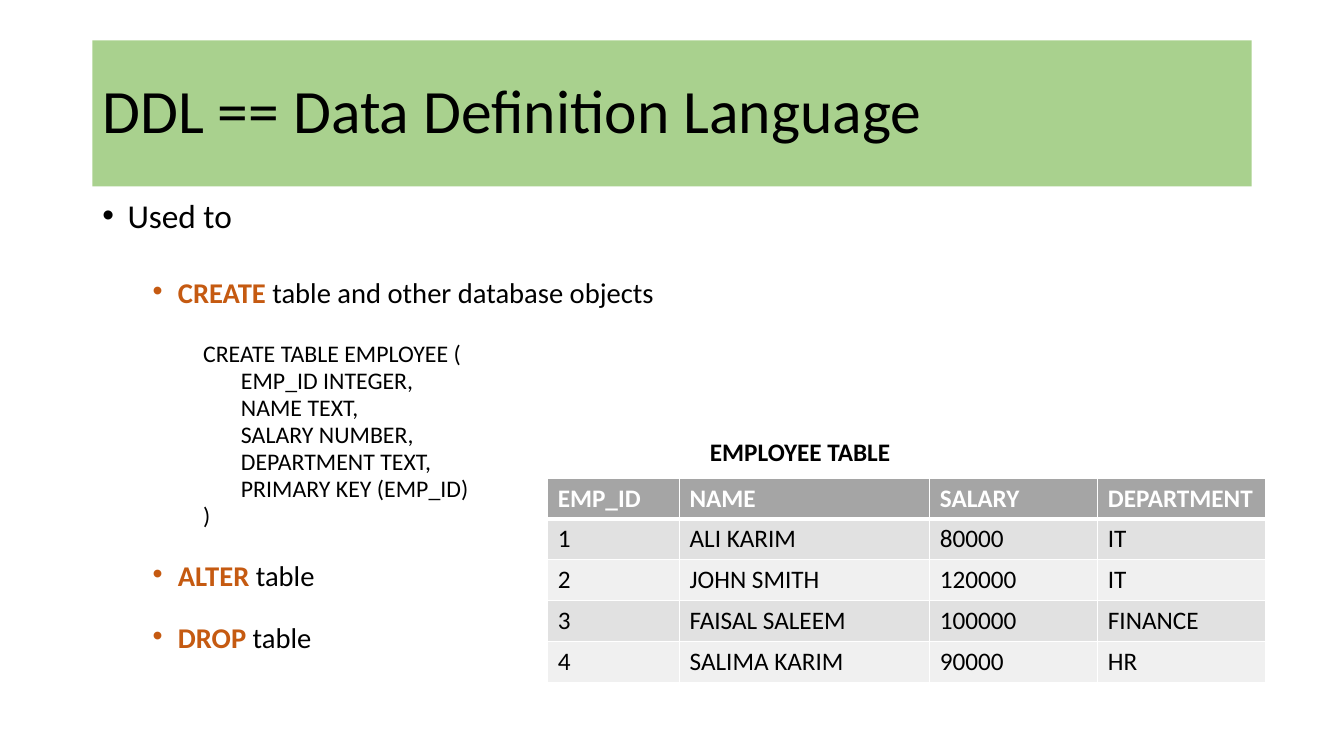
from dataclasses import dataclass
from typing import NamedTuple

from lxml import etree
from pptx import Presentation
from pptx.dml.color import RGBColor
from pptx.enum.shapes import MSO_SHAPE
from pptx.enum.text import MSO_ANCHOR, PP_ALIGN
from pptx.oxml.ns import qn
from pptx.util import Emu, Inches, Pt

RECTANGLE = MSO_SHAPE.RECTANGLE
MIDDLE, TOP = MSO_ANCHOR.MIDDLE, MSO_ANCHOR.TOP
LEFT, CENTER = PP_ALIGN.LEFT, PP_ALIGN.CENTER
BLANK_LAYOUT = 6
GRID_COLUMNS, GRID_ROWS = 160, 90


@dataclass(frozen=True)
class Theme:
    """Colours, font and type sizes of the slide."""
    font: str = "Calibri"
    ink: str = "000000"
    paper: str = "FFFFFF"
    banner: str = "A9D18E"
    keyword: str = "C55A11"
    header: str = "A5A5A5"
    bands: tuple = ("E1E1E1", "F0F0F0")
    title_size: float = 44
    lead_size: float = 23.8
    command_size: float = 20.4
    code_size: float = 17
    table_size: float = 18
    thin_border: float = 1
    thick_border: float = 3


class Area(NamedTuple):
    """A place in columns and rows of the slide grid."""
    left: float
    top: float
    width: float
    height: float


class Span(NamedTuple):
    """A stretch of text in one format."""
    text: str
    color: str
    bold: bool = False


class Line(NamedTuple):
    """One paragraph; its margin is in grid columns, its space in points."""
    spans: list[Span]
    size: float
    margin: float = 0
    bullet: bool = False
    space_before: float = 0


THEME = Theme()
deck = Presentation()
deck.slide_width, deck.slide_height = Inches(13.33), Inches(7.5)
slide = deck.slides.add_slide(deck.slide_layouts[BLANK_LAYOUT])


def across(columns: float) -> Emu:
    """Turn grid columns into a length."""
    return Emu(round(deck.slide_width * columns / GRID_COLUMNS))


def down(rows: float) -> Emu:
    """Turn grid rows into a length."""
    return Emu(round(deck.slide_height * rows / GRID_ROWS))


def place(area: Area) -> tuple[Emu, Emu, Emu, Emu]:
    """Turn a grid area into left, top, width and height."""
    return across(area.left), down(area.top), across(area.width), down(area.height)


def set_bullet(paragraph, indent: float) -> None:
    """Hang a round bullet to the left of a paragraph."""
    properties = paragraph._p.get_or_add_pPr()
    properties.set("indent", str(-across(indent)))
    etree.SubElement(properties, qn("a:buFont"), typeface="Arial")
    etree.SubElement(properties, qn("a:buChar"), char="•")


def write(frame, lines: list[Line], *, anchor=TOP, align=LEFT,
          spacing: float = 1.0, wrap: bool = True) -> None:
    """Fill a text frame with formatted lines."""
    frame.word_wrap = wrap
    frame.vertical_anchor = anchor
    for number, line in enumerate(lines):
        paragraph = frame.add_paragraph() if number else frame.paragraphs[0]
        paragraph.alignment = align
        paragraph.line_spacing = spacing
        paragraph.space_before = Pt(line.space_before)
        paragraph._p.get_or_add_pPr().set("marL", str(across(line.margin)))
        if line.bullet:
            set_bullet(paragraph, 3)
        for span in line.spans:
            run = paragraph.add_run()
            run.text = span.text
            run.font.name = THEME.font
            run.font.size = Pt(line.size)
            run.font.bold = span.bold
            run.font.color.rgb = RGBColor.from_string(span.color)


def set_borders(cell, widths: dict[str, float]) -> None:
    """Draw the borders of a cell, given a width for each side."""
    properties = cell._tc.get_or_add_tcPr()
    for side, width in widths.items():
        border = etree.SubElement(properties, qn(f"a:ln{side}"), w=str(Pt(width)))
        fill = etree.SubElement(border, qn("a:solidFill"))
        etree.SubElement(fill, qn("a:srgbClr"), val=THEME.paper)


def add_banner(area: Area, text: str) -> None:
    """Add the title on its coloured band."""
    banner = slide.shapes.add_shape(RECTANGLE, *place(area))
    banner.shadow.inherit = False
    banner.fill.solid()
    banner.fill.fore_color.rgb = RGBColor.from_string(THEME.banner)
    banner.line.fill.background()
    write(banner.text_frame, [Line([Span(text, THEME.ink)], THEME.title_size)],
          anchor=MIDDLE, spacing=0.9)


def add_text(area: Area, lines: list[Line], **text_format) -> None:
    """Add a text box."""
    write(slide.shapes.add_textbox(*place(area)).text_frame, lines, **text_format)


def add_records(area: Area, column_widths: list[float],
                records: list[list[str]]) -> None:
    """Add a table with a header row and banded records."""
    table = slide.shapes.add_table(
        len(records), len(column_widths), *place(area)).table
    for column, width in zip(table.columns, column_widths):
        column.width = across(width)
    for row_number, record in enumerate(records):
        is_header = row_number == 0
        table.rows[row_number].height = down(area.height / len(records))
        fill = THEME.header if is_header else THEME.bands[(row_number - 1) % 2]
        ink = THEME.paper if is_header else THEME.ink
        widths = dict.fromkeys("LRTB", THEME.thin_border)
        if row_number < 2:
            widths["B" if is_header else "T"] = THEME.thick_border
        for column_number, value in enumerate(record):
            cell = table.cell(row_number, column_number)
            set_borders(cell, widths)
            cell.fill.solid()
            cell.fill.fore_color.rgb = RGBColor.from_string(fill)
            write(cell.text_frame,
                  [Line([Span(value, ink, is_header)], THEME.table_size)])


def command(keyword: str, rest: str, space_before: float = 27.4) -> Line:
    """Make a bulleted line that opens with an SQL keyword."""
    return Line([Span(keyword, THEME.keyword, True), Span(rest, THEME.ink)],
                THEME.command_size, 9, True, space_before)


def code(text: str, margin: float = 12, space_before: float = 5) -> Line:
    """Make a line of the SQL statement."""
    return Line([Span(text, THEME.ink)], THEME.code_size, margin,
                space_before=space_before)


FIELDS = ["EMP_ID INTEGER,", "NAME TEXT,", "SALARY NUMBER,",
          "DEPARTMENT TEXT,", "PRIMARY KEY (EMP_ID)"]
EMPLOYEES = [
    ["EMP_ID", "NAME", "SALARY", "DEPARTMENT"],
    ["1", "ALI KARIM", "80000", "IT"],
    ["2", "JOHN SMITH", "120000", "IT"],
    ["3", "FAISAL SALEEM", "100000", "FINANCE"],
    ["4", "SALIMA KARIM", "90000", "HR"],
]

add_banner(Area(11, 4.8, 138, 17.4), "DDL == Data Definition Language")
add_text(Area(11, 24, 138, 52.8), [
    Line([Span("Used to", THEME.ink)], THEME.lead_size, 3, True),
    command("CREATE", " table and other database objects", 35.5),
    code("CREATE TABLE EMPLOYEE (", space_before=27.4),
    *(code(field, margin=16.5) for field in FIELDS),
    code(")"),
    command("ALTER", " table"),
    command("DROP", " table"),
], spacing=0.7)
add_records(Area(65.2, 56.9, 85.5, 24.4), [15.7, 29.8, 20, 20], EMPLOYEES)
add_text(Area(83.2, 51.4, 24.1, 4.8),
         [Line([Span("EMPLOYEE TABLE", THEME.ink, True)], THEME.table_size)],
         align=CENTER, wrap=False)

deck.save("out.pptx")
